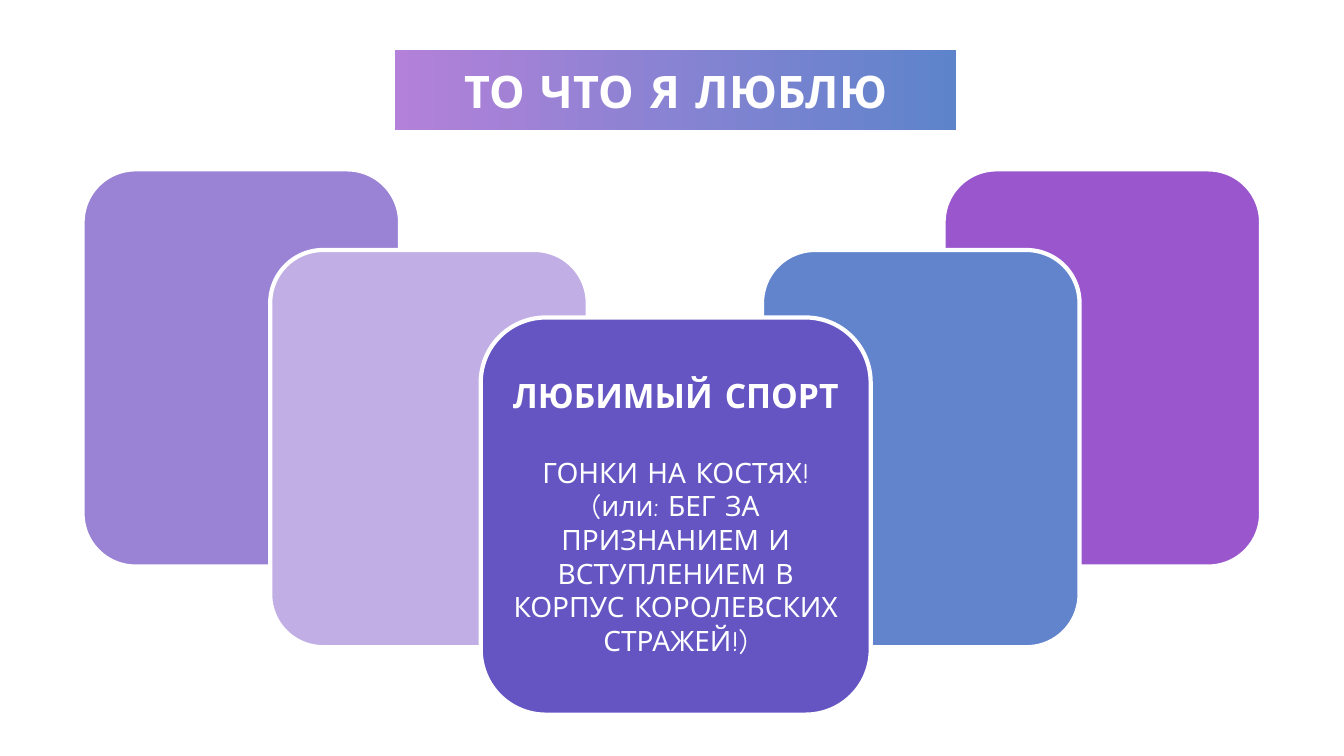
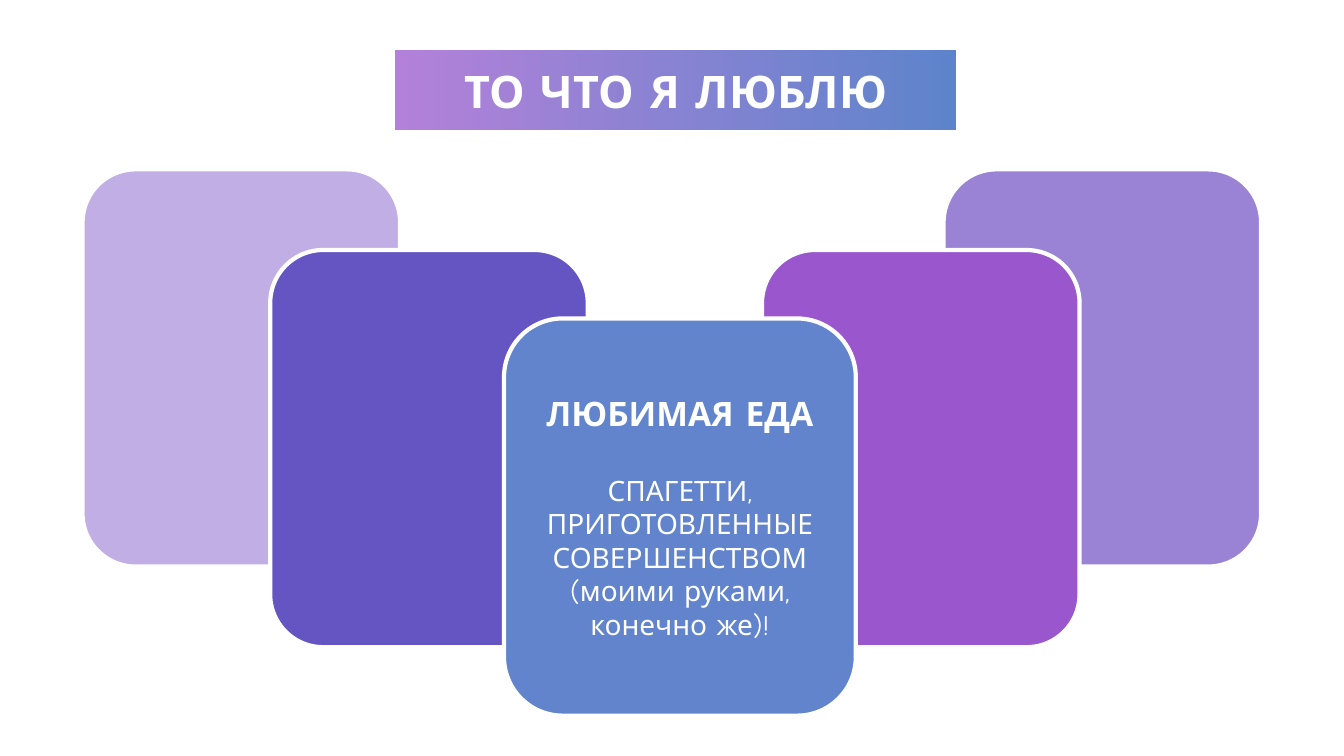
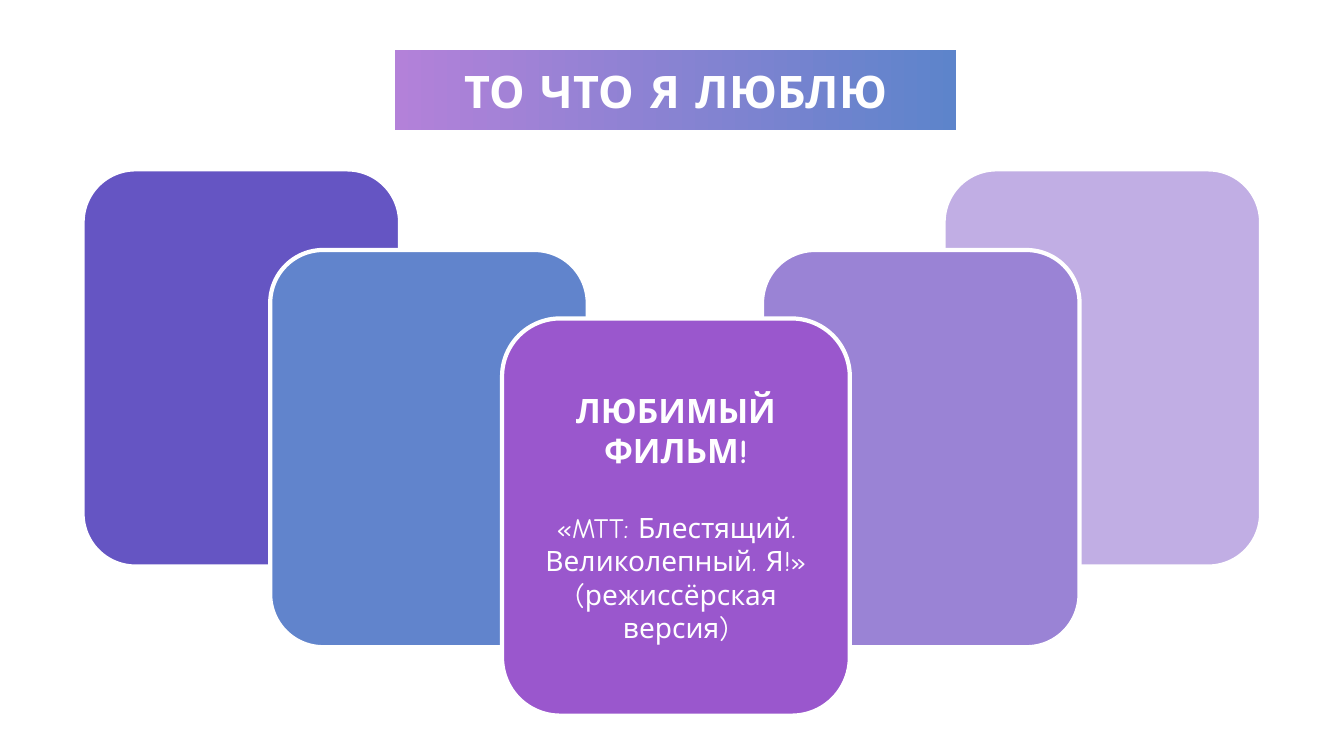
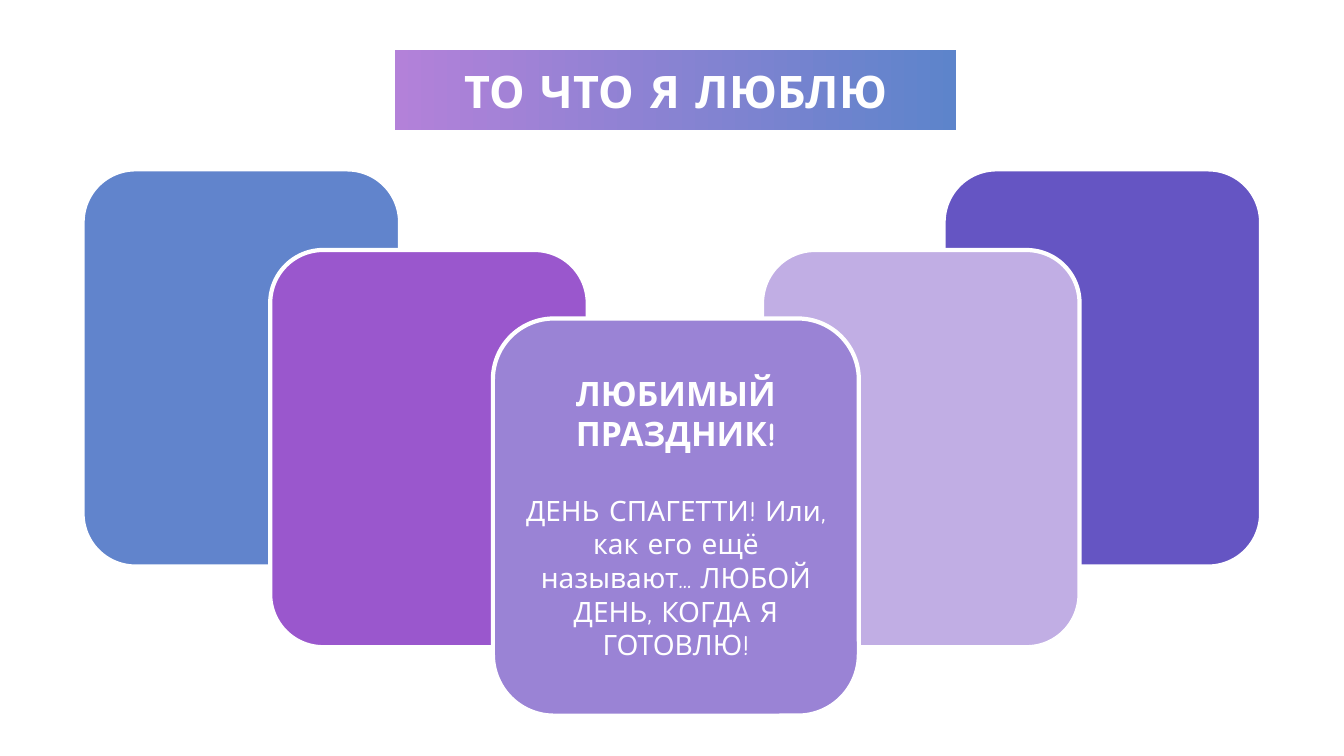
from dataclasses import dataclass

from pptx import Presentation
from pptx.dml.color import RGBColor
from pptx.enum.shapes import MSO_SHAPE
from pptx.enum.text import MSO_ANCHOR, MSO_AUTO_SIZE, PP_ALIGN
from pptx.util import Pt

ROUNDED = MSO_SHAPE.ROUNDED_RECTANGLE
MIDDLE = MSO_ANCHOR.MIDDLE
CENTER = PP_ALIGN.CENTER
NO_AUTOFIT = MSO_AUTO_SIZE.NONE
TITLE_ONLY = 5


@dataclass(frozen=True)
class Theme:
    font: str = "Comic Neue"
    white: str = "FFFFFF"
    band_start: str = "B381D9"
    band_end: str = "5D84CB"
    cards: tuple = ("9A83D5", "C1AEE4", "6555C3", "6184CC", "9A57CD")
    title_size: float = 32
    heading_size: float = 24
    body_size: float = 20
    heading_gap: float = 28.5
    outline: float = 3


@dataclass(frozen=True)
class Favourite:
    heading: str
    body: str
    left: float
    top: float
    width: float


THEME = Theme()
SLIDE_SIZE = (960, 540)
TITLE = "ТО ЧТО Я ЛЮБЛЮ"
TITLE_BOX = (282.24, 36, 401, 56.9)
CARD_WIDTH, CARD_HEIGHT = 226.8, 283.7
UPPER_TOP, LOWER_TOP = 121, 178.6
FRONT_POSITION = 2
BACK_CARDS = (
    (0, 59, UPPER_TOP),
    (1, 193, LOWER_TOP),
    (4, 674, UPPER_TOP),
    (3, 544.3, LOWER_TOP),
)
FAVOURITES = (
    Favourite(
        "ЛЮБИМЫЙ СПОРТ",
        "ГОНКИ НА КОСТЯХ! (или: БЕГ ЗА ПРИЗНАНИЕМ И ВСТУПЛЕНИЕМ В КОРПУС КОРОЛЕВСКИХ СТРАЖЕЙ!)",
        343.4, 226.8, 278.6,
    ),
    Favourite(
        "ЛЮБИМАЯ ЕДА",
        "СПАГЕТТИ, ПРИГОТОВЛЕННЫЕ СОВЕРШЕНСТВОМ (моими руками, конечно же)!",
        360, 227.5, 251.3,
    ),
    Favourite(
        "ЛЮБИМЫЙ ФИЛЬМ!",
        "«MTT: Блестящий. Великолепный. Я!» (режиссёрская версия)",
        358.6, 227.5, 248.4,
    ),
    Favourite(
        "ЛЮБИМЫЙ ПРАЗДНИК!",
        "ДЕНЬ СПАГЕТТИ! Или, как его ещё называют... ЛЮБОЙ ДЕНЬ, КОГДА Я ГОТОВЛЮ!",
        352.1, 227.5, 261.4,
    ),
)


def color(value):
    return RGBColor.from_string(value)


def prepare_frame(shape):
    frame = shape.text_frame
    frame.word_wrap = True
    frame.auto_size = NO_AUTOFIT
    frame.vertical_anchor = MIDDLE
    return frame


def write(paragraph, text, size, bold):
    paragraph.alignment = CENTER
    run = paragraph.add_run()
    run.text = text
    run.font.name = THEME.font
    run.font.size = Pt(size)
    run.font.bold = bold
    run.font.color.rgb = color(THEME.white)


def add_title(slide):
    title = slide.shapes.title
    title.left, title.top, title.width, title.height = map(Pt, TITLE_BOX)
    title.fill.gradient()
    title.fill.gradient_angle = 0
    ends = (THEME.band_start, THEME.band_end)
    for stop, value, position in zip(title.fill.gradient_stops, ends, (0, 1)):
        stop.color.rgb = color(value)
        stop.position = position
    write(prepare_frame(title).paragraphs[0], TITLE, THEME.title_size, True)


def add_card(slide, left, top, width, fill):
    card = slide.shapes.add_shape(
        ROUNDED, Pt(left), Pt(top), Pt(width), Pt(CARD_HEIGHT))
    card.shadow.inherit = False
    card.fill.solid()
    card.fill.fore_color.rgb = color(fill)
    card.line.color.rgb = color(THEME.white)
    card.line.width = Pt(THEME.outline)
    return card


def add_front_card(slide, favourite, fill):
    card = add_card(slide, favourite.left, favourite.top, favourite.width, fill)
    frame = prepare_frame(card)
    heading = frame.paragraphs[0]
    heading.space_after = Pt(THEME.heading_gap)
    write(heading, favourite.heading, THEME.heading_size, True)
    write(frame.add_paragraph(), favourite.body, THEME.body_size, False)


def add_favourite_slide(presentation, favourite, rotation):
    slide = presentation.slides.add_slide(presentation.slide_layouts[TITLE_ONLY])
    colors = THEME.cards[rotation:] + THEME.cards[:rotation]
    add_title(slide)
    for position, left, top in BACK_CARDS:
        add_card(slide, left, top, CARD_WIDTH, colors[position])
    add_front_card(slide, favourite, colors[FRONT_POSITION])


def main():
    presentation = Presentation()
    presentation.slide_width, presentation.slide_height = map(Pt, SLIDE_SIZE)
    for rotation, favourite in enumerate(FAVOURITES):
        add_favourite_slide(presentation, favourite, rotation)
    presentation.save("out.pptx")


if __name__ == "__main__":
    main()
